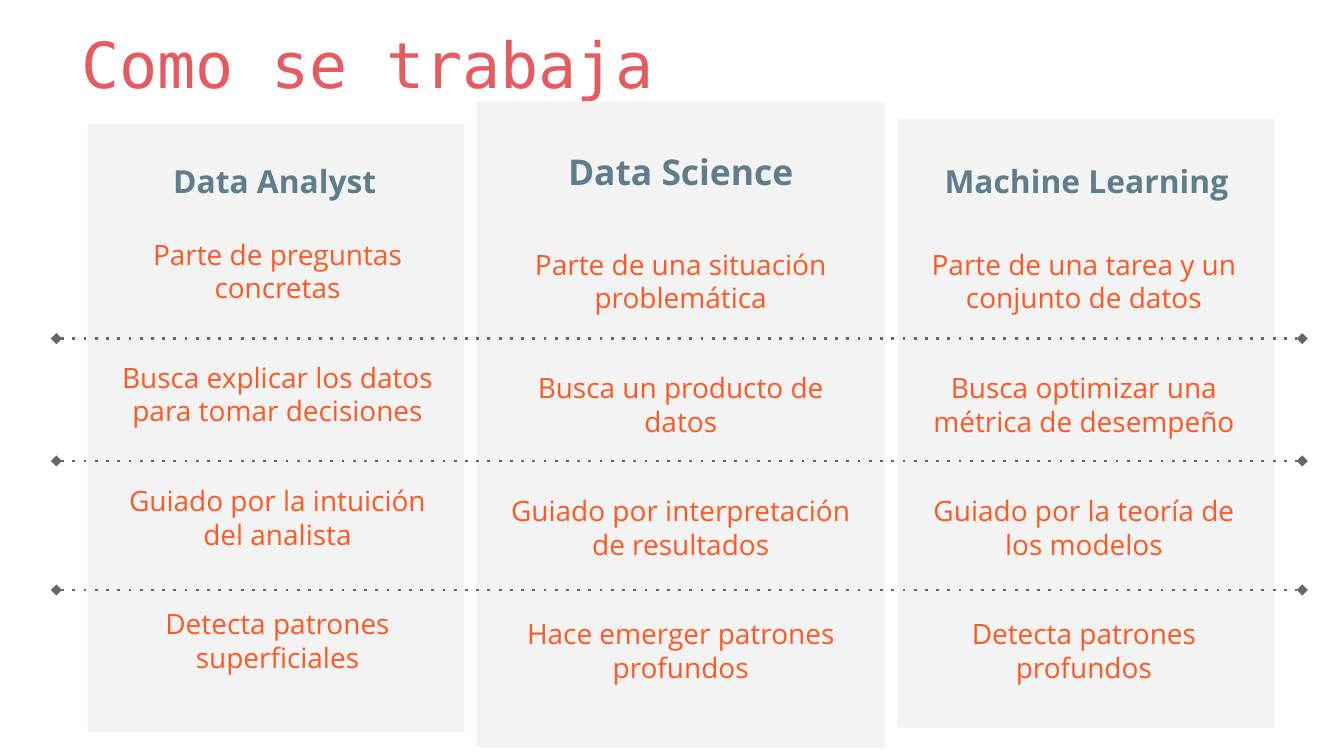
from dataclasses import dataclass
from typing import NamedTuple

from lxml import etree
from pptx import Presentation, util as u
from pptx.dml.color import RGBColor
from pptx.enum import shapes, text
from pptx.oxml.ns import qn


@dataclass(frozen=True)
class Theme:
    title: str = "E55B60"
    heading: str = "607D8B"
    body: str = "FF5722"
    panel: str = "F3F3F3"
    divider: str = "666666"
    sans: str = "Open Sans"
    mono: str = "DejaVu Sans Mono"
    title_size: int = 34
    body_size: int = 15
    row_gap: int = 30
    divider_width: float = 1.5


class Area(NamedTuple):
    """Left, top, width and height in grid cells."""
    left: float
    top: float
    width: float
    height: float


class Role(NamedTuple):
    name: str
    heading_size: int
    panel: Area
    heading: Area
    body: Area
    traits: tuple[str, ...]


THEME = Theme()
COLUMNS, ROWS = 100, 56.25
CELL = u.Inches(10) / COLUMNS
TITLE_AREA = Area(5.05, 0.9, 83.1, 6.8)
DIVIDER_LEFT, DIVIDER_RIGHT = 4.2, 96.9
DIVIDER_ROWS = (25.2, 34.3, 43.9)

ROLES = (
    Role("Data Analyst", 17, Area(6.55, 9.2, 28, 45.3),
         Area(8.6, 11.05, 23.7, 5.7), Area(8.05, 16.65, 25.2, 36.6),
         ("Parte de preguntas concretas",
          "Busca explicar los datos para tomar decisiones",
          "Guiado por la intuición del analista",
          "Detecta patrones superficiales")),
    Role("Data Science", 19, Area(35.45, 7.6, 30.4, 48),
         Area(38.8, 10.15, 23.7, 5.7), Area(36.4, 17.4, 28.5, 35.1),
         ("Parte de una situación problemática",
          "Busca un producto de datos",
          "Guiado por interpretación de resultados",
          "Hace emerger patrones profundos")),
    Role("Machine Learning", 17, Area(66.8, 8.85, 28, 45.3),
         Area(69, 11.05, 23.7, 5.7), Area(68.05, 17.4, 25.2, 36.6),
         ("Parte de una tarea y un conjunto de datos",
          "Busca optimizar una métrica de desempeño",
          "Guiado por la teoría de los modelos",
          "Detecta patrones profundos")),
)


def cells(count: float) -> u.Emu:
    return u.Emu(round(count * CELL))


def add_text(slide, area: Area, *lines: str, size: int, color: str,
             font: str = THEME.sans, bold: bool = False,
             align=text.PP_ALIGN.CENTER, gap: int = 0) -> None:
    frame = slide.shapes.add_textbox(*map(cells, area)).text_frame
    frame.word_wrap = True
    frame.vertical_anchor = text.MSO_ANCHOR.TOP
    frame.margin_left = frame.margin_right = cells(1)
    frame.margin_top = frame.margin_bottom = cells(1)
    for index, line in enumerate(lines):
        paragraph = frame.add_paragraph() if index else frame.paragraphs[0]
        paragraph.alignment = align
        if index:
            paragraph.space_before = u.Pt(gap)
        run = paragraph.add_run()
        run.text = line
        run.font.name, run.font.size, run.font.bold = font, u.Pt(size), bold
        run.font.color.rgb = RGBColor.from_string(color)


def add_panel(slide, area: Area) -> None:
    panel = slide.shapes.add_shape(shapes.MSO_SHAPE.RECTANGLE, *map(cells, area))
    panel.shadow.inherit = False
    panel.fill.solid()
    panel.fill.fore_color.rgb = RGBColor.from_string(THEME.panel)
    panel.line.fill.background()


def add_divider(slide, row: float) -> None:
    """Draw a dotted line across the columns with a diamond at each end."""
    divider = slide.shapes.add_connector(
        shapes.MSO_CONNECTOR.STRAIGHT, cells(DIVIDER_LEFT), cells(row),
        cells(DIVIDER_RIGHT), cells(row))
    divider.line.width = u.Pt(THEME.divider_width)
    divider.line.color.rgb = RGBColor.from_string(THEME.divider)
    outline = divider.line._get_or_add_ln()
    etree.SubElement(outline, qn("a:prstDash"), val="dot")
    for end in ("a:headEnd", "a:tailEnd"):
        etree.SubElement(outline, qn(end), type="diamond")
    etree.SubElement(outline.getparent(), qn("a:effectLst"))


def main() -> None:
    deck = Presentation()
    deck.slide_width, deck.slide_height = cells(COLUMNS), cells(ROWS)
    slide = deck.slides.add_slide(deck.slide_layouts[6])

    for role in ROLES:
        add_panel(slide, role.panel)
    for role in ROLES:
        add_text(slide, role.heading, role.name, size=role.heading_size,
                 color=THEME.heading, bold=True)
        add_text(slide, role.body, *role.traits, size=THEME.body_size,
                 color=THEME.body, gap=THEME.row_gap)
    for row in DIVIDER_ROWS:
        add_divider(slide, row)
    add_text(slide, TITLE_AREA, "Como se trabaja", size=THEME.title_size,
             color=THEME.title, font=THEME.mono, align=text.PP_ALIGN.LEFT)
    deck.save("out.pptx")


if __name__ == "__main__":
    main()
